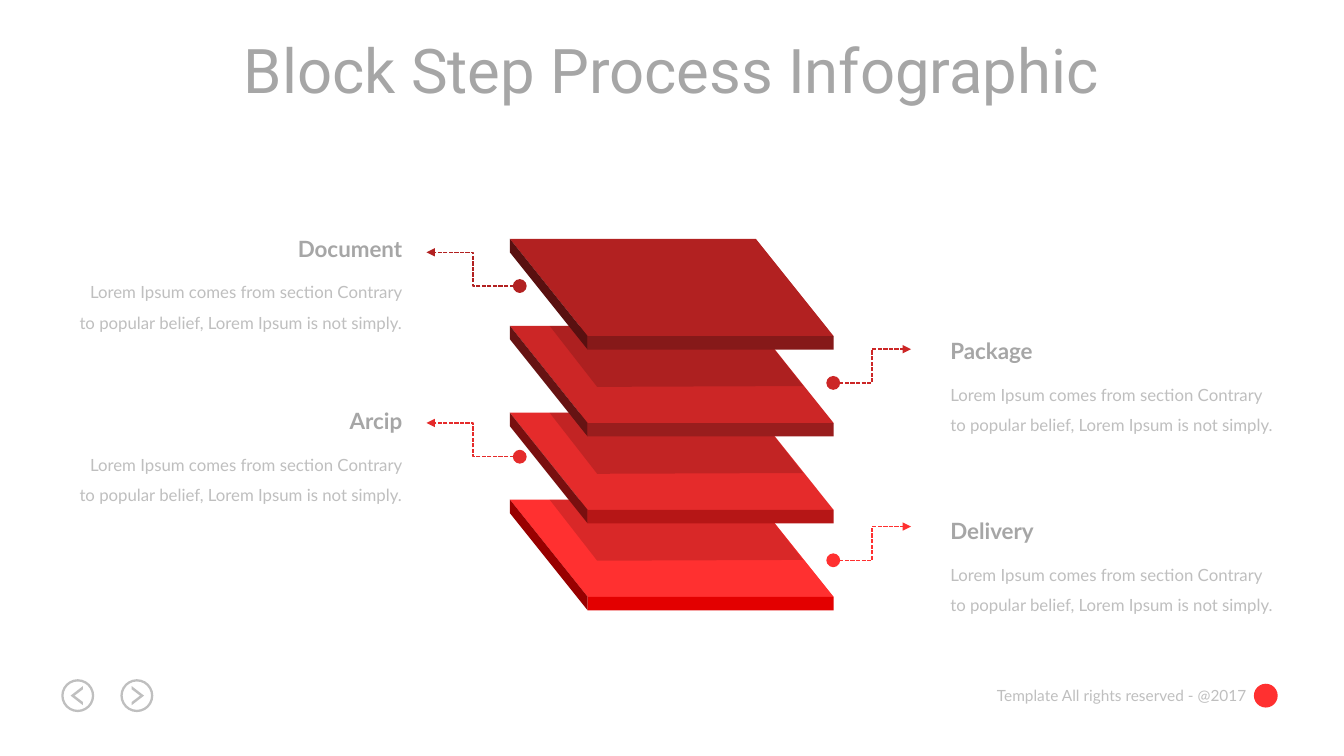
"""Build the block step process slide: four stacked plates with callouts."""
from dataclasses import dataclass

from lxml.etree import SubElement
from pptx import Presentation
from pptx.dml.color import RGBColor
from pptx.enum.dml import MSO_LINE
from pptx.enum.shapes import MSO_CONNECTOR, MSO_SHAPE
from pptx.enum.text import MSO_ANCHOR, MSO_AUTO_SIZE, PP_ALIGN
from pptx.oxml.ns import qn
from pptx.util import Cm, Pt


@dataclass(frozen=True)
class Theme:
    heading: str = "A6A6A6"
    muted: str = "BFBFBF"
    accent: str = "FF3030"
    shade: str = "000000"
    shade_alpha: int = 15000
    display_font: str = "Roboto"
    text_font: str = "Lato"
    title_size: int = 44
    caption_size: int = 16
    detail_size: int = 12
    footer_size: int = 11


THEME = Theme()
TITLE = "Block Step Process Infographic"
FOOTER = "Template All rights reserved - @2017"
DETAIL = "Lorem Ipsum comes from section Contrary to popular belief, Lorem Ipsum is not simply."

STEPS = [
    dict(caption="Document", side="left", text_top=5.79, leader_y=7.21,
         top="B22121", edge="591010", front="861919"),
    dict(caption="Package", side="right", text_top=8.38, leader_y=9.65,
         top="CC2626", edge="661313", front="991D1D"),
    dict(caption="Arcip", side="left", text_top=10.13, leader_y=11.51,
         top="E52B2B", edge="790F0F", front="B61616"),
    dict(caption="Delivery", side="right", text_top=12.9, leader_y=14.12,
         top="FF3030", edge="980000", front="E30000"),
]
SIDES = {
    "left": dict(text_x=1.68, align=PP_ALIGN.RIGHT, leader=(13.1, 10.75)),
    "right": dict(text_x=23.7, align=PP_ALIGN.LEFT, leader=(21, 22.96)),
}
TEXT_WIDTH, CAPTION_HEIGHT, DETAIL_HEIGHT, LEADER_RISE = 8.71, 0.94, 2.57, 0.85

STACK_X, STACK_Y, STACK_PITCH = 12.85, 6.02, 2.19
PLATE_WIDTH, PLATE_SLANT, PLATE_DEPTH, PLATE_THICK = 6.2, 1.96, 2.45, 0.34
PLATE_TOP = [(0, 0), (PLATE_WIDTH, 0), (PLATE_WIDTH + PLATE_SLANT, PLATE_DEPTH),
             (PLATE_SLANT, PLATE_DEPTH)]
PLATE_EDGE = [(0, 0), (PLATE_SLANT, PLATE_DEPTH),
              (PLATE_SLANT, PLATE_DEPTH + PLATE_THICK), (0, PLATE_THICK)]
PLATE_SHADE = [(1, 0), (PLATE_WIDTH, 0), (7.39, 1.52), (2.2, 1.54)]

NAV_Y, NAV_SIZE = 17.53, 0.83
NAV_BUTTONS = [(1.96, 1), (3.45, -1)]
CHEVRON = [(0.13, -0.16), (-0.08, 0), (0.13, 0.16), (0.13, 0.24), (-0.18, 0), (0.13, -0.24)]


def paint(part, color):
    part.shadow.inherit = False
    part.fill.solid()
    part.fill.fore_color.rgb = RGBColor.from_string(color)
    part.line.fill.background()
    return part


def add_preset(kind, x, y, width, height, color):
    return paint(slide.shapes.add_shape(kind, Cm(x), Cm(y), Cm(width), Cm(height)), color)


def add_polygon(points, x, y, color):
    corners = [(Cm(x + dx), Cm(y + dy)) for dx, dy in points]
    builder = slide.shapes.build_freeform(*corners[0], scale=1.0)
    builder.add_line_segments(corners[1:], close=True)
    return paint(builder.convert_to_shape(), color)


def write(frame, words, align, size, color, font, bold=False, spacing=None):
    frame.word_wrap = True
    frame.auto_size = MSO_AUTO_SIZE.NONE
    paragraph = frame.paragraphs[0]
    paragraph.alignment = align
    if spacing:
        paragraph.line_spacing = spacing
    run = paragraph.add_run()
    run.text = words
    run.font.size, run.font.name, run.font.bold = Pt(size), font, bold
    run.font.color.rgb = RGBColor.from_string(color)


def add_text(x, y, width, height, *args, **style):
    box = slide.shapes.add_textbox(Cm(x), Cm(y), Cm(width), Cm(height))
    write(box.text_frame, *args, **style)


def add_plate(step, y, shaded):
    add_polygon(PLATE_TOP, STACK_X, y, step["top"])
    add_polygon(PLATE_EDGE, STACK_X, y, step["edge"])
    add_preset(MSO_SHAPE.RECTANGLE, STACK_X + PLATE_SLANT, y + PLATE_DEPTH,
               PLATE_WIDTH, PLATE_THICK, step["front"])
    if shaded:
        shade = add_polygon(PLATE_SHADE, STACK_X, y, THEME.shade)
        tint = shade._element.spPr.find(qn("a:solidFill"))[0]
        SubElement(tint, qn("a:alpha"), val=str(THEME.shade_alpha))


def add_leader(step):
    start_x, end_x = SIDES[step["side"]]["leader"]
    y = step["leader_y"]
    leader = slide.shapes.add_connector(
        MSO_CONNECTOR.ELBOW, Cm(start_x), Cm(y), Cm(end_x), Cm(y - LEADER_RISE))
    leader.line.color.rgb = RGBColor.from_string(step["top"])
    leader.line.width = Pt(1)
    leader.line.dash_style = MSO_LINE.SQUARE_DOT
    properties = leader._element.spPr
    outline = properties.find(qn("a:ln"))
    SubElement(outline, qn("a:headEnd"), type="oval", w="lg", len="lg")
    SubElement(outline, qn("a:tailEnd"), type="triangle", w="med", len="med")
    SubElement(properties, qn("a:effectLst"))


def add_callout(step):
    side = SIDES[step["side"]]
    x, y, align = side["text_x"], step["text_top"], side["align"]
    add_text(x, y, TEXT_WIDTH, CAPTION_HEIGHT, step["caption"], align,
             THEME.caption_size, THEME.heading, THEME.text_font, bold=True)
    add_text(x, y + CAPTION_HEIGHT, TEXT_WIDTH, DETAIL_HEIGHT, DETAIL, align,
             THEME.detail_size, THEME.muted, THEME.text_font, spacing=1.5)


deck = Presentation()
deck.slide_width, deck.slide_height = Cm(33.87), Cm(19.05)
slide = deck.slides.add_slide(deck.slide_layouts[5])

heading = slide.shapes.title
heading.left, heading.top, heading.width, heading.height = Cm(3.5), Cm(0.66), Cm(26.87), Cm(2.13)
heading.text_frame.vertical_anchor = MSO_ANCHOR.MIDDLE
write(heading.text_frame, TITLE, PP_ALIGN.CENTER, THEME.title_size, THEME.heading,
      THEME.display_font)

add_text(23.67, 17.17, 8, 0.74, FOOTER, PP_ALIGN.RIGHT,
         THEME.footer_size, THEME.muted, THEME.text_font)
add_preset(MSO_SHAPE.OVAL, 31.6, 17.23, 0.6, 0.6, THEME.accent)

for center_x, direction in NAV_BUTTONS:
    ring = add_preset(MSO_SHAPE.DONUT, center_x - NAV_SIZE / 2, NAV_Y - NAV_SIZE / 2,
                      NAV_SIZE, NAV_SIZE, THEME.muted)
    ring.adjustments[0] = 0.07
    add_polygon([(dx * direction, dy) for dx, dy in CHEVRON], center_x, NAV_Y, THEME.muted)

for level, step in reversed(list(enumerate(STEPS))):
    add_plate(step, STACK_Y + level * STACK_PITCH, shaded=level > 0)
for step in STEPS:
    add_leader(step)
    add_callout(step)

deck.save("out.pptx")
